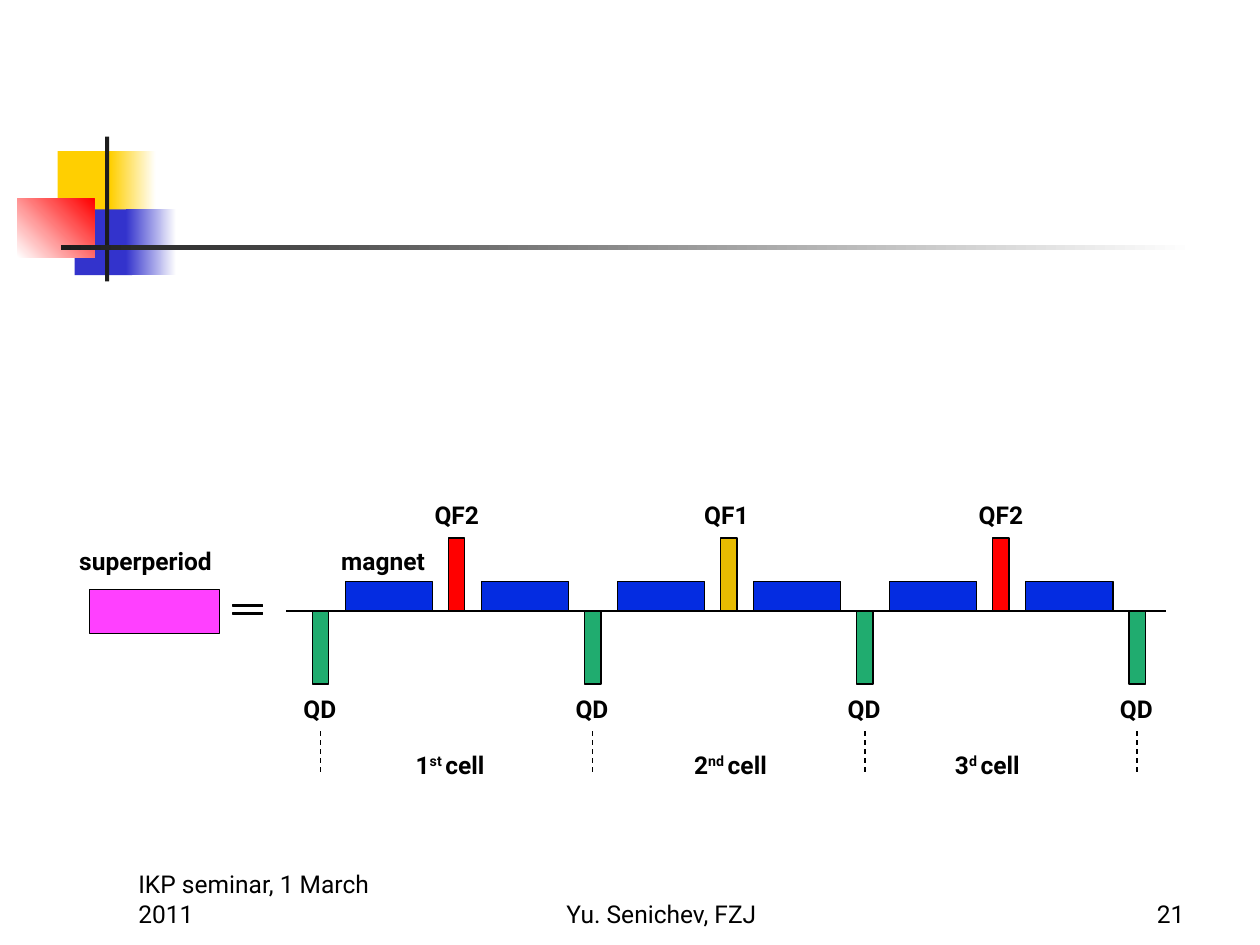
from lxml.etree import SubElement
from pptx import Presentation
from pptx.dml.color import RGBColor
from pptx.enum.dml import MSO_LINE
from pptx.enum.shapes import MSO_CONNECTOR, MSO_SHAPE
from pptx.enum.text import MSO_ANCHOR, MSO_AUTO_SIZE, PP_ALIGN
from pptx.oxml.ns import qn
from pptx.util import Pt

BLACK = RGBColor(0x00, 0x00, 0x00)
WHITE = RGBColor(0xFF, 0xFF, 0xFF)
CHARCOAL = RGBColor(0x1C, 0x1C, 0x1C)
YELLOW = RGBColor(0xFF, 0xCF, 0x01)
INDIGO = RGBColor(0x33, 0x33, 0xCC)
RED = RGBColor(0xFF, 0x00, 0x00)
BLUE = RGBColor(0x04, 0x2C, 0xE1)
GREEN = RGBColor(0x20, 0xAC, 0x6F)
GOLD = RGBColor(0xE7, 0xBB, 0x01)
MAGENTA = RGBColor(0xFF, 0x40, 0xFF)

FONT = "Roboto"
AXIS_TOP = 349.2
HALF_CELL = 77.76
FIRST_QUADRUPOLE = 178.56
QUADRUPOLE_WIDTH = 9.36
QUADRUPOLE_HEIGHT = 41.76
FIRST_MAGNET = 197.28
MAGNET_HEIGHT = 17


def add_block(slide, left, top, width, height, color=None, outlined=True):
    """Add a rectangle, filled with a plain colour when one is given."""
    shape = slide.shapes.add_shape(
        MSO_SHAPE.RECTANGLE, Pt(left), Pt(top), Pt(width), Pt(height))
    shape.shadow.inherit = False
    if color is not None:
        shape.fill.solid()
        shape.fill.fore_color.rgb = color
    if outlined:
        shape.line.color.rgb = BLACK
        shape.line.width = Pt(0.75)
    else:
        shape.line.fill.background()
    return shape


def add_fade(slide, left, top, width, height, start, end, angle=0):
    """Add a rectangle that fades from one colour to another."""
    shape = add_block(slide, left, top, width, height, outlined=False)
    shape.fill.gradient()
    shape.fill.gradient_angle = angle
    for stop, color in zip(shape.fill.gradient_stops, (start, end)):
        stop.color.rgb = color


def add_line(slide, start_left, start_top, end_left, end_top, width, dash=None):
    """Add a straight black line without a shadow."""
    line = slide.shapes.add_connector(
        MSO_CONNECTOR.STRAIGHT,
        Pt(start_left), Pt(start_top), Pt(end_left), Pt(end_top))
    line.line.color.rgb = BLACK
    line.line.width = Pt(width)
    if dash is not None:
        line.line.dash_style = dash
    SubElement(line._element.spPr, qn("a:effectLst"))


def add_run(paragraph, text, bold, raised=False):
    """Add a run of text, raised to a superscript on request."""
    run = paragraph.add_run()
    run.text = text
    run.font.name = FONT
    run.font.size = Pt(14)
    run.font.bold = bold
    run.font.color.rgb = BLACK
    if raised:
        run._r.get_or_add_rPr().set("baseline", "30000")


def add_label(slide, left, top, width, text, suffix="", ending=""):
    """Add a bold one-line label with an optional superscript and ending."""
    box = slide.shapes.add_textbox(Pt(left), Pt(top), Pt(width), Pt(24.24))
    box.text_frame.word_wrap = False
    box.text_frame.auto_size = MSO_AUTO_SIZE.SHAPE_TO_FIT_TEXT
    paragraph = box.text_frame.paragraphs[0]
    add_run(paragraph, text, True)
    if suffix:
        add_run(paragraph, suffix, True, raised=True)
        add_run(paragraph, ending, True)


def add_footer(slide, left, width, text, alignment):
    """Add a bottom-anchored footer text."""
    box = slide.shapes.add_textbox(Pt(left), Pt(498), Pt(width), Pt(36))
    box.text_frame.word_wrap = True
    box.text_frame.vertical_anchor = MSO_ANCHOR.BOTTOM
    paragraph = box.text_frame.paragraphs[0]
    paragraph.alignment = alignment
    add_run(paragraph, text, False)


def add_ornament(slide):
    """Add the coloured squares and the fading rule."""
    add_block(slide, 33, 86.4, 34.5, 37.5, YELLOW, outlined=False)
    add_fade(slide, 63, 86.4, 26, 37.5, YELLOW, WHITE)
    add_block(slide, 42.6, 119.7, 33, 37.5, INDIGO, outlined=False)
    add_fade(slide, 72, 119.7, 28.8, 37.5, INDIGO, WHITE)
    add_fade(slide, 10, 113.7, 44, 33.3, WHITE, RED, 45)
    add_block(slide, 60, 78, 2.4, 82.8, CHARCOAL, outlined=False)
    add_fade(slide, 34.8, 140.2, 648, 2.4, CHARCOAL, WHITE)


def add_lattice(slide):
    """Add the beam axis with its magnets and quadrupoles."""
    add_line(slide, 163.7, AXIS_TOP, 666.5, AXIS_TOP, 1)
    for index in range(6):
        add_block(slide, FIRST_MAGNET + index * HALF_CELL,
                  AXIS_TOP - MAGNET_HEIGHT, 49.9, MAGNET_HEIGHT, BLUE)
    for index, color in enumerate((GREEN, RED, GREEN, GOLD, GREEN, RED, GREEN)):
        left = FIRST_QUADRUPOLE + index * HALF_CELL
        top = AXIS_TOP if color == GREEN else AXIS_TOP - QUADRUPOLE_HEIGHT
        add_block(slide, left, top, QUADRUPOLE_WIDTH, QUADRUPOLE_HEIGHT, color)
        if color == GREEN:
            center = left + QUADRUPOLE_WIDTH / 2
            add_label(slide, left - 12.24, 393.3, 36, "QD")
            add_line(slide, center, 417.8, center, 441.5, 0.75, MSO_LINE.DASH)


def main():
    """Build and save the slide."""
    presentation = Presentation()
    presentation.slide_width = Pt(720)
    presentation.slide_height = Pt(540)
    slide = presentation.slides.add_slide(presentation.slide_layouts[6])

    add_ornament(slide)
    add_lattice(slide)

    add_block(slide, 51, 336.8, 74.4, 25.2, MAGENTA)
    for top in (345.6, 350):
        add_block(slide, 133.2, top, 17, 1.2, BLACK)

    for left, top, width, text in (
        (38.2, 308.2, 100, "superperiod"),
        (187.9, 308.2, 69.1, "magnet"),
        (241.2, 282.2, 42.5, "QF2"),
        (395.3, 282.2, 42.5, "QF1"),
        (552.2, 282.2, 42.5, "QF2"),
    ):
        add_label(slide, left, top, width, text)
    for left, width, number, suffix in (
        (230.4, 61.2, "1", "st "),
        (389.5, 64.1, "2", "nd "),
        (538.6, 58.3, "3", "d "),
    ):
        add_label(slide, left, 424.8, width, number, suffix, "cell")

    add_footer(slide, 72, 150, "IKP seminar, 1 March 2011", PP_ALIGN.LEFT)
    add_footer(slide, 264, 228, "Yu. Senichev, FZJ", PP_ALIGN.CENTER)
    add_footer(slide, 534, 150, "21", PP_ALIGN.RIGHT)

    presentation.save("out.pptx")


if __name__ == "__main__":
    main()
